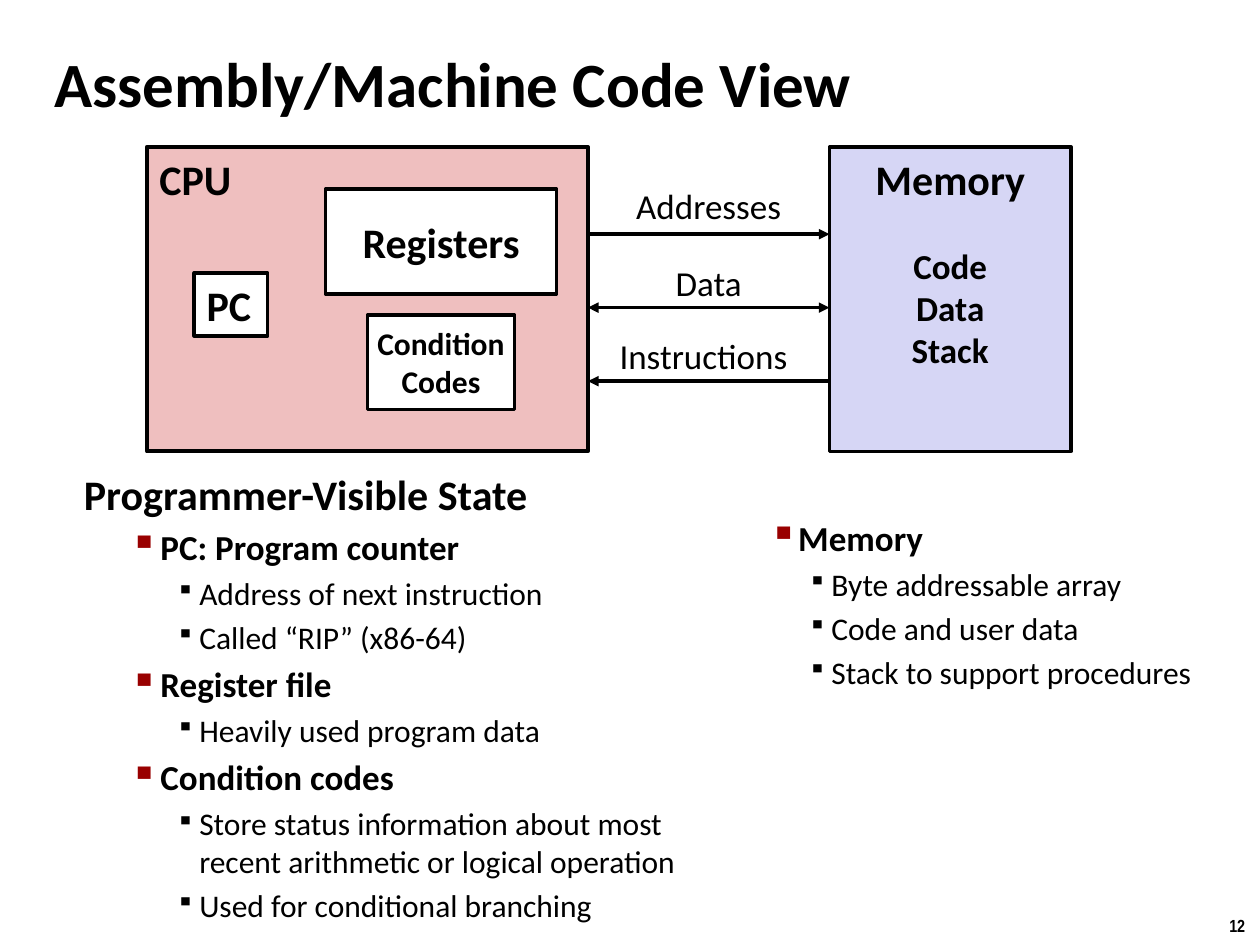
from typing import NamedTuple

from lxml.etree import SubElement
from pptx import Presentation
from pptx.dml.color import RGBColor
from pptx.enum.shapes import MSO_CONNECTOR as Conn, MSO_SHAPE as Shape
from pptx.enum.text import MSO_ANCHOR as Anchor, PP_ALIGN as Align
from pptx.oxml.ns import qn
from pptx.util import Pt

PX = 7620  # EMU, 120 px to the inch
COLORS = {"ink": "000000", "white": "FFFFFF", "cpu": "EFBFBF",
          "memory": "D6D6F5", "bullet": "990000"}


class Rect(NamedTuple):
    x: int
    y: int
    w: int
    h: int


class Style(NamedTuple):
    size: int
    bold: bool = True
    align: Align = Align.CENTER
    anchor: Anchor = Anchor.TOP
    wrap: bool = True
    font: str = "Calibri"


class Box(NamedTuple):
    rect: Rect
    fill: str
    text: str
    style: Style
    line: float = 2


class Label(NamedTuple):
    rect: Rect
    text: str
    style: Style


class Bus(NamedTuple):
    y: int
    head: bool
    tail: bool


class Level(NamedTuple):
    """Outline level: text size, weight, left margin, hanging indent, bullet."""
    size: int
    bold: bool
    margin: int
    hang: int
    bullet_pct: int = 0
    color: str = "ink"


def rgb(name: str) -> RGBColor:
    return RGBColor.from_string(COLORS[name])


def emu(rect: Rect) -> list[int]:
    return [v * PX for v in rect]


def set_attrs(obj, values: dict) -> None:
    for name, value in values.items():
        setattr(obj, name, value)


def add_run(p, text: str, size: int, bold: bool, font: str = "Calibri") -> None:
    r = p.add_run()
    r.text = text
    set_attrs(r.font, {"name": font, "size": Pt(size), "bold": bold})
    r.font.color.rgb = rgb("ink")


def write(tf, text: str, style: Style) -> None:
    set_attrs(tf, {"word_wrap": style.wrap, "vertical_anchor": style.anchor})
    for i, line in enumerate(text.split("\n")):
        p = tf.add_paragraph() if i else tf.paragraphs[0]
        p.alignment = style.align
        add_run(p, line, style.size, style.bold, style.font)


def draw_box(s, box: Box) -> None:
    sp = s.shapes.add_shape(Shape.RECTANGLE, *emu(box.rect))
    sp.shadow.inherit = False
    sp.fill.solid()
    sp.fill.fore_color.rgb = rgb(box.fill)
    sp.line.color.rgb = rgb("ink")
    sp.line.width = Pt(box.line)
    write(sp.text_frame, box.text, box.style)


def draw_label(s, label: Label) -> None:
    write(s.shapes.add_textbox(*emu(label.rect)).text_frame, label.text, label.style)


def draw_bus(s, bus: Bus, left: int, right: int) -> None:
    c = s.shapes.add_connector(Conn.STRAIGHT, left * PX, bus.y * PX, right * PX, bus.y * PX)
    c.line.color.rgb = rgb("ink")
    c.line.width = Pt(2)
    ln = c.line._get_or_add_ln()
    for tag, shown in (("a:headEnd", bus.head), ("a:tailEnd", bus.tail)):
        if shown:
            SubElement(ln, qn(tag), type="triangle")
    SubElement(c._element.spPr, qn("a:effectLst"))


def format_item(p, level: Level) -> None:
    """Set indent, space before (20% of the line) and bullet."""
    pPr = p._p.get_or_add_pPr()
    pPr.set("marL", str(level.margin * PX))
    pPr.set("indent", str(-level.hang * PX))
    SubElement(SubElement(pPr, qn("a:spcBef")), qn("a:spcPct"), val="20000")
    if not level.bullet_pct:
        SubElement(pPr, qn("a:buNone"))
        return
    SubElement(SubElement(pPr, qn("a:buClr")), qn("a:srgbClr"), val=COLORS[level.color])
    SubElement(pPr, qn("a:buSzPct"), val=str(level.bullet_pct * 1000))
    SubElement(pPr, qn("a:buChar"), char="▪")


def draw_outline(s, rect: Rect, levels: list[Level], items: list[tuple[int, str]]) -> None:
    tf = s.shapes.add_textbox(*emu(rect)).text_frame
    tf.word_wrap = True
    for i, (depth, text) in enumerate(items):
        p = tf.add_paragraph() if i else tf.paragraphs[0]
        level = levels[depth]
        format_item(p, level)
        add_run(p, text, level.size, level.bold)


def outline_levels(topic_margin: int, topic_hang: int, detail_margin: int) -> list[Level]:
    return [Level(24, True, 30, 30),
            Level(20, True, topic_margin, topic_hang, 110, "bullet"),
            Level(18, False, detail_margin, 22, 80)]


MIDDLE = Style(24, anchor=Anchor.MIDDLE, wrap=False)
BUS_LABEL = Style(20, bold=False)
BUS_LEFT, BUS_RIGHT = 560, 790

BOXES = [
    Box(Rect(140, 140, 420, 290), "cpu", "CPU", Style(24, align=Align.LEFT), 2.25),
    Box(Rect(185, 260, 70, 60), "white", "PC", MIDDLE._replace(align=Align.LEFT)),
    Box(Rect(310, 180, 220, 100), "white", "Registers", MIDDLE),
    Box(Rect(350, 300, 140, 90), "white", "Condition\nCodes", MIDDLE._replace(size=18)),
    Box(Rect(790, 140, 230, 290), "memory", "Memory", Style(24, wrap=False)),
]
BUSES = [Bus(223, False, True), Bus(293, True, True), Bus(363, True, False)]
LABELS = [
    Label(Rect(40, 40, 948, 76), "Assembly/Machine Code View",
          Style(36, align=Align.LEFT, anchor=Anchor.MIDDLE)),
    Label(Rect(830, 227, 150, 133), "Code\nData\nStack", Style(20)),
    Label(Rect(560, 170, 230, 52), "Addresses", BUS_LABEL),
    Label(Rect(560, 243, 230, 52), "Data", BUS_LABEL),
    Label(Rect(560, 313, 220, 52), "Instructions", BUS_LABEL),
    Label(Rect(1159, 866, 41, 32), "12",
          Style(10, align=Align.LEFT, wrap=False, font="Arial Narrow")),
]
STATE = [
    (0, "Programmer-Visible State"),
    (1, "PC: Program counter"),
    (2, "Address of next instruction"),
    (2, "Called “RIP” (x86-64)"),
    (1, "Register file"),
    (2, "Heavily used program data"),
    (1, "Condition codes"),
    (2, "Store status information about most recent arithmetic or logical operation"),
    (2, "Used for conditional branching"),
]
MEMORY = [
    (1, "Memory"),
    (2, "Byte addressable array"),
    (2, "Code and user data"),
    (2, "Stack to support procedures"),
]


def main() -> None:
    prs = Presentation()
    set_attrs(prs, {"slide_width": 1200 * PX, "slide_height": 900 * PX})
    s = prs.slides.add_slide(prs.slide_layouts[6])
    for box in BOXES:
        draw_box(s, box)
    for bus in BUSES:
        draw_bus(s, bus, BUS_LEFT, BUS_RIGHT)
    for label in LABELS:
        draw_label(s, label)
    draw_outline(s, Rect(68, 440, 637, 406), outline_levels(73, 29, 110), STATE)
    draw_outline(s, Rect(706, 486, 475, 206), outline_levels(38, 23, 74), MEMORY)
    prs.save("out.pptx")


if __name__ == "__main__":
    main()
